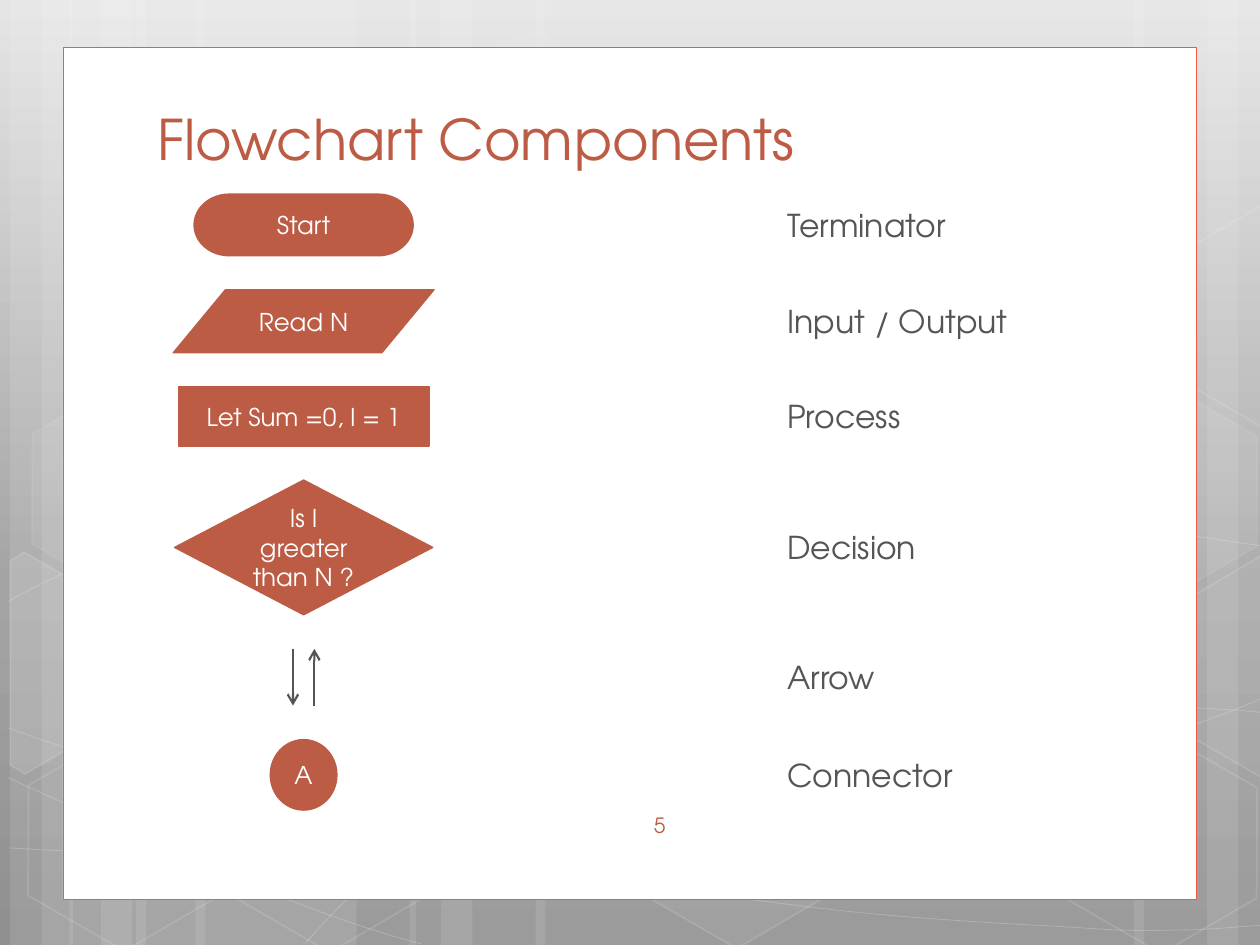
import copy
import math

import lxml.etree
import pptx
import pptx.dml.color
import pptx.enum.shapes
import pptx.enum.text
import pptx.oxml.ns
import pptx.util

Inches = pptx.util.Inches
Kind = pptx.enum.shapes.MSO_SHAPE
Align = pptx.enum.text.PP_ALIGN
Anchor = pptx.enum.text.MSO_ANCHOR

FONT = "TeX Gyre Adventor"
RUST, GRAY, WHITE = "BD5C45", "555555", "FFFFFF"
HEXAGON_SIZE = (1.75, 1.52)
HEXAGON_TURN = 30
ROW_GAP = 0.27

BANDS = [(1.08, 1.75), (0.08, 0.5), (0.33, 0.83), (1.55, 1.75), (0.55, 0.5), (0.8, 0.83),
         (7.33, 1.75), (9.58, 0.5), (9, 0.83), (4.25, 3.08), (3.25, 0.5), (3.5, 0.83)]

CURVES = [
    [(0.07, 6.73), (0.61, 6.76), (1.15, 6.79), (1.9, 6.78), (2.65, 6.77), (3.58, 6.75),
     (4.58, 6.65), (5.58, 6.55), (7, 6.36), (7.92, 6.17), (8.83, 5.98), (9.77, 5.68), (10.07, 5.51)],
    [(0.07, 4.77), (0.36, 4.61), (0.65, 4.46), (1.21, 4.31), (1.78, 4.16), (2.59, 3.94),
     (3.47, 3.87), (4.36, 3.8), (5.44, 3.79), (6.54, 3.87), (7.64, 3.95), (9.47, 4.26), (10.07, 4.34)],
    [(0.06, 6.17), (1.27, 6.72), (2.47, 7.27), (3.34, 7.49)],
    [(0.07, 5.78), (0.38, 5.89), (0.7, 6), (1.28, 6.16), (1.86, 6.31), (2.73, 6.56),
     (3.57, 6.73), (4.4, 6.9), (5.45, 7.08), (6.28, 7.18), (7.11, 7.29), (8, 7.33),
     (8.53, 7.36), (9.05, 7.4), (9.19, 7.38), (9.45, 7.38), (9.71, 7.37), (9.89, 7.35), (10.07, 7.34)],
    [(2.42, 7.49), (2.6, 7.29), (2.78, 7.09), (3.02, 6.91), (3.26, 6.73), (3.6, 6.53),
     (3.88, 6.39), (4.16, 6.25), (4.33, 6.19), (4.7, 6.09), (5.06, 5.99), (5.73, 5.85),
     (6.08, 5.78), (6.44, 5.71), (6.49, 5.71), (6.8, 5.69), (7.11, 5.66), (7.6, 5.63),
     (7.94, 5.62), (8.29, 5.61), (8.86, 5.62), (8.86, 5.62), (9.08, 5.62), (9.31, 5.62),
     (9.53, 5.62), (9.71, 5.63), (9.88, 5.64), (9.97, 5.65), (10.06, 5.66), (10.03, 5.65), (10.06, 5.66)],
]

HEXAGONS = [(3.34, 0.36, 4, 8), (4.97, 5.89, 6, 12), (0.11, 5.91, None, 12),
            (0.14, 3.12, 7, 8), (1.74, 5.92, None, 12), (7.53, 4.53, 10, 12),
            (8.34, 5.93, None, 12), (8.34, 3.14, 7, 8)]

CUT_HEXAGONS = [
    ((0.36, 5.35), [(0.08, 4.45), (0.19, 4.38), (0.96, 4.82), (0.95, 5.7), (0.2, 6.14), (0.08, 6.07)], 10),
    ((9.85, 5.2), [(9.26, 4.85), (10.01, 4.41), (10.09, 4.46), (10.09, 6.13), (10.02, 6.17), (9.26, 5.73)], 4),
    ((9.85, 2.41), [(9.26, 2.07), (10.01, 1.63), (10.1, 1.68), (10.09, 3.35), (10.02, 3.39), (9.26, 2.95)], None),
]

COMPONENTS = [
    (Kind.FLOWCHART_TERMINATOR, "Start", "Terminator", 1.74, 0.49),
    (Kind.FLOWCHART_DATA, "Read N", "Input / Output", 2.07, 0.5),
    (Kind.FLOWCHART_PROCESS, "Let Sum =0, I = 1", "Process", 1.99, 0.47),
    (Kind.FLOWCHART_DECISION, "Is I greater than N ?", "Decision", 2.05, 1.07),
    (None, None, "Arrow", 0.17, 0.45),
    (Kind.FLOWCHART_CONNECTOR, "A", "Connector", 0.53, 0.56),
]


def color(value):
    return pptx.dml.color.RGBColor.from_string(value)


def add_child(parent, tag, **attributes):
    child = lxml.etree.SubElement(parent, pptx.oxml.ns.qn(tag))
    for name, value in attributes.items():
        child.set(name, str(value))
    return child


def paint(fill, value, opacity=100):
    if value is None or opacity is None:
        fill.background()
        return
    fill.solid()
    fill.fore_color.rgb = color(value)
    if opacity < 100:
        node = fill._xPr.find(pptx.oxml.ns.qn("a:solidFill"))[0]
        add_child(node, "a:alpha", val=opacity * 1000)


def style(shape, fill=None, fill_opacity=100, line=None, line_width=1, line_opacity=100):
    shape.shadow.inherit = False
    paint(shape.fill, fill, fill_opacity)
    if line:
        shape.line.width = pptx.util.Pt(line_width)
    paint(shape.line.fill, line, line_opacity)


def write(shape, text, size=18, ink=GRAY, align=Align.LEFT, anchor=Anchor.TOP):
    frame = shape.text_frame
    frame.word_wrap = True
    frame.vertical_anchor = anchor
    para = frame.paragraphs[0]
    para.alignment = align
    span = para.add_run()
    span.text = text
    span.font.name = FONT
    span.font.size = pptx.util.Pt(size)
    span.font.color.rgb = color(ink)


def add_shape(page, kind, left, top, width, height, **look):
    shape = page.shapes.add_shape(kind, Inches(left), Inches(top), Inches(width), Inches(height))
    style(shape, **look)
    return shape


def add_label(page, text, left, top, width, height, **look):
    box = page.shapes.add_textbox(Inches(left), Inches(top), Inches(width), Inches(height))
    write(box, text, **look)


def add_outline(page, points, close, **look):
    corners = [(Inches(x), Inches(y)) for x, y in points]
    builder = page.shapes.build_freeform(*corners[0])
    builder.add_line_segments(corners[1:], close=close)
    outline = builder.convert_to_shape()
    style(outline, line=WHITE, **look)
    return outline


def add_curve(page, controls, **look):
    curve = add_outline(page, controls, False, **look)
    lines = list(curve._element.iter(pptx.oxml.ns.qn("a:lnTo")))
    for start in range(0, len(lines), 3):
        segment = add_child(lines[start].getparent(), "a:cubicBezTo")
        for line in lines[start:start + 3]:
            segment.append(line[0])
            line.getparent().remove(line)


def turn_back(point, center):
    angle = math.radians(HEXAGON_TURN)
    x, y = point[0] - center[0], point[1] - center[1]
    return (center[0] + x * math.cos(angle) + y * math.sin(angle),
            center[1] - x * math.sin(angle) + y * math.cos(angle))


def add_arrow(page, x, start, end):
    arrow = page.shapes.add_connector(pptx.enum.shapes.MSO_CONNECTOR.STRAIGHT,
                                      Inches(x), Inches(start), Inches(x), Inches(end))
    arrow.line.color.rgb = color(GRAY)
    arrow.line.width = pptx.util.Pt(1.25)
    add_child(arrow.line._get_or_add_ln(), "a:tailEnd", type="arrow")
    add_child(arrow._element.spPr, "a:effectLst")


def paint_background(page):
    fill = page.background.fill
    fill.gradient()
    fill.gradient_angle = 270
    stops = fill.gradient_stops
    for stop, value in zip(stops, ("E5E5E5", "909090")):
        stop.color.rgb = color(value)
    first = stops[0]._gs
    first.addnext(copy.deepcopy(first))
    middle = fill.gradient_stops[1]
    middle.color.rgb = color("A4A4A4")
    middle.position = 0.62


def add_backdrop(page, height):
    for left, width in BANDS:
        add_shape(page, Kind.RECTANGLE, left, 0, width, height, fill=WHITE, fill_opacity=10)
    for controls in CURVES:
        add_curve(page, controls, line_width=0.5, line_opacity=20)
    for left, top, fill_opacity, line_opacity in HEXAGONS:
        hexagon = add_shape(page, Kind.HEXAGON, left, top, *HEXAGON_SIZE, fill=WHITE,
                            fill_opacity=fill_opacity, line=WHITE, line_opacity=line_opacity)
        hexagon.adjustments[0] = 0.285
        hexagon.rotation = HEXAGON_TURN
    for center, points, fill_opacity in CUT_HEXAGONS:
        cut = add_outline(page, [turn_back(point, center) for point in points], True,
                          fill=WHITE, fill_opacity=fill_opacity, line_opacity=12)
        cut.rotation = HEXAGON_TURN
    add_shape(page, Kind.RECTANGLE, 0.5, 0.38, 9, 6.76, fill=WHITE, line="EF5946", line_width=0.5)


def add_title(page, text, left, top, width, height):
    title = page.shapes.title
    title.left, title.top = Inches(left), Inches(top)
    title.width, title.height = Inches(width), Inches(height)
    write(title, text, size=32, ink=RUST, anchor=Anchor.BOTTOM)
    page.shapes.element.append(title.element)


def add_components(page, center, top, label_left):
    for kind, text, name, width, height in COMPONENTS:
        left = center - width / 2
        if kind is None:
            add_arrow(page, left, top, top + height)
            add_arrow(page, left + width, top + height, top)
        else:
            symbol = add_shape(page, kind, left, top, width, height, fill=RUST, line=RUST, line_width=0)
            write(symbol, text, size=14, ink=WHITE, align=Align.CENTER, anchor=Anchor.MIDDLE)
        add_label(page, name, label_left, top + height / 2 - 0.2, 2.47, 0.4)
        top += height + ROW_GAP


def main():
    deck = pptx.Presentation()
    deck.slide_width, deck.slide_height = Inches(10), Inches(7.5)
    page = deck.slides.add_slide(deck.slide_layouts[5])
    paint_background(page)
    add_backdrop(page, 7.5)
    add_title(page, "Flowchart Components", 1.15, 0.79, 7.85, 0.62)
    add_components(page, 2.41, 1.54, 6.15)
    add_label(page, "5", 5.09, 6.4, 3.92, 0.4, size=12, ink=RUST)
    deck.save("out.pptx")


if __name__ == "__main__":
    main()
